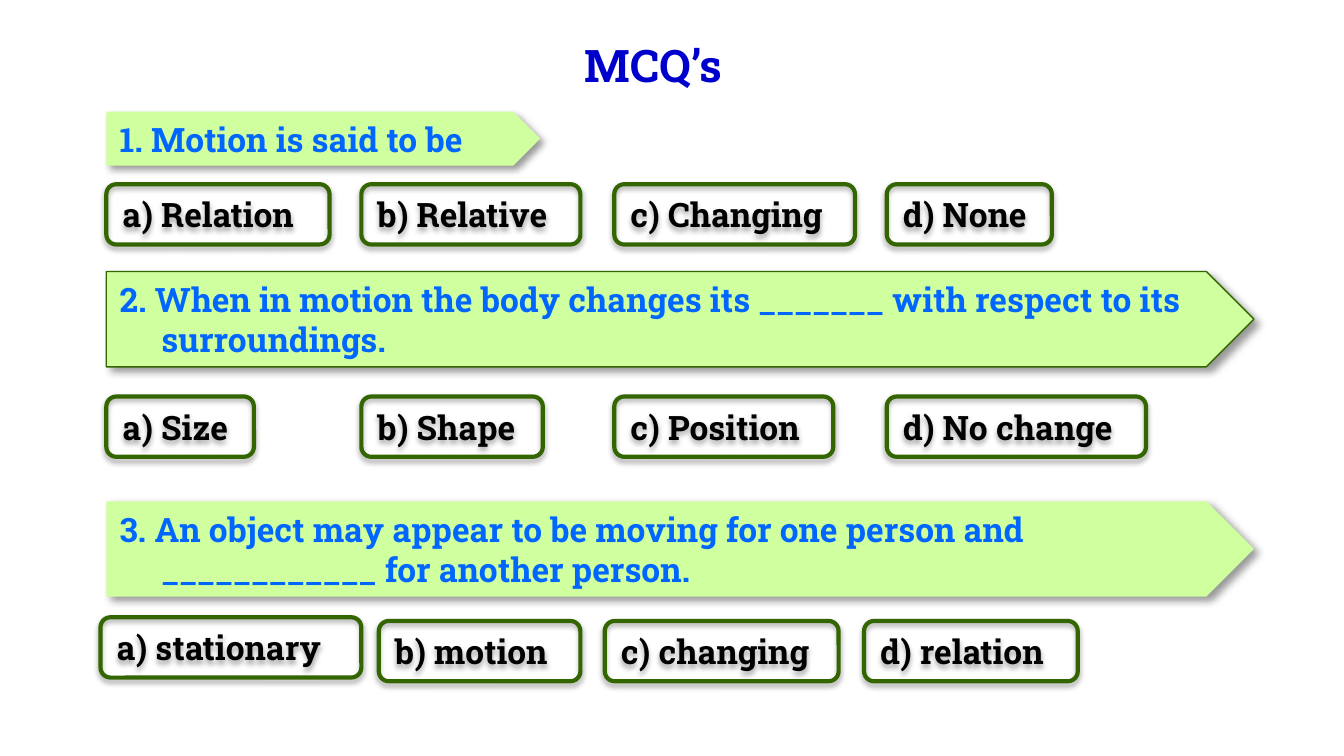
"""Build a quiz slide with three multiple-choice questions."""
from lxml import etree
from pptx import Presentation
from pptx import util as u
from pptx.dml.color import RGBColor
from pptx.enum import shapes, text
from pptx.oxml import ns

FONT = "Roboto Slab"
TITLE_BLUE, BLUE, BLACK = "0000CC", "0066FF", "000000"
LIME, GREEN = "CFFF9F", "336600"
LEFT, OPTION_HEIGHT, INDENT = 2.01, 1.14, 0.79
COLUMNS = (LEFT, 6.83, 11.61, 16.76)
QUESTION_SHADOW = (40, 4, 3, 45)
OPTION_SHADOW = (35, 3.1, 1.8, 90)

TITLE = "MCQ’s"
QUESTIONS = [
    {"text": "1. Motion is said to be",
     "box": (2.11, 8.2, 1.02), "outlined": False,
     "tops": (3.48,) * 4, "lefts": COLUMNS,
     "options": [("a) Relation", 4.22), ("b) Relative", 4.14),
                 ("c) Changing", 4.55), ("d) None", 3.12)]},
    {"text": "2. When in motion the body changes its _______ with respect to its surroundings.",
     "box": (5.13, 21.69, 1.8), "outlined": True,
     "tops": (7.49,) * 4, "lefts": COLUMNS,
     "options": [("a) Size", 2.79), ("b) Shape", 3.43),
                 ("c) Position", 4.14), ("d) No change", 4.9)]},
    {"text": "3. An object may appear to be moving for one person and ____________ for another person.",
     "box": (9.47, 21.69, 1.8), "outlined": False,
     "tops": (11.66, 11.73, 11.73, 11.73), "lefts": (1.9, 7.16, 11.43, 16.33),
     "options": [("a) stationary", 4.93), ("b) motion", 3.81),
                 ("c) changing", 4.42), ("d) relation", 4.04)]},
]


def paint(color_format, value):
    color_format.rgb = RGBColor.from_string(value)


def write(shape, words, size, color):
    frame = shape.text_frame
    frame.word_wrap = True
    frame.auto_size = text.MSO_AUTO_SIZE.NONE
    frame.vertical_anchor = text.MSO_ANCHOR.MIDDLE
    para = frame.paragraphs[0]
    para.alignment = text.PP_ALIGN.LEFT
    span = para.add_run()
    span.text = words
    span.font.name, span.font.size, span.font.bold = FONT, u.Pt(size), True
    paint(span.font.color, color)
    return para


def cast_shadow(shape, opacity, blur, distance, angle):
    shape.shadow.inherit = False
    effects = shape._element.spPr.find(ns.qn("a:effectLst"))
    shadow = etree.SubElement(
        effects, ns.qn("a:outerShdw"), blurRad=str(u.Pt(blur)),
        dist=str(u.Pt(distance)), dir=str(angle * 60000), algn="tl", rotWithShape="0")
    color = etree.SubElement(shadow, ns.qn("a:srgbClr"), val=BLACK)
    etree.SubElement(color, ns.qn("a:alpha"), val=str(opacity * 1000))


def add_box(page, kind, place, fill, line_width, shadow):
    box = page.shapes.add_shape(kind, *map(u.Cm, place))
    if fill:
        box.fill.solid()
        paint(box.fill.fore_color, fill)
    else:
        box.fill.background()
    if line_width:
        paint(box.line.color, GREEN)
        box.line.width = u.Pt(line_width)
    else:
        box.line.fill.background()
    cast_shadow(box, *shadow)
    return box


def add_question(page, question):
    top, width, height = question["box"]
    banner = add_box(page, shapes.MSO_SHAPE.PENTAGON, (LEFT, top, width, height),
                     LIME, 0.75 if question["outlined"] else 0, QUESTION_SHADOW)
    para = write(banner, question["text"], 18, BLUE)
    properties = para._p.get_or_add_pPr()
    properties.set("marL", str(u.Cm(INDENT)))
    properties.set("indent", str(-u.Cm(INDENT)))
    for left, row, (words, room) in zip(question["lefts"], question["tops"], question["options"]):
        option = add_box(page, shapes.MSO_SHAPE.ROUNDED_RECTANGLE,
                         (left, row, room, OPTION_HEIGHT), None, 2.25, OPTION_SHADOW)
        write(option, words, 18, BLACK)


def main():
    deck = Presentation()
    deck.slide_width, deck.slide_height = u.Cm(25.4), u.Cm(14.28)
    page = deck.slides.add_slide(deck.slide_layouts[5])
    title = page.shapes.title
    title.left, title.top, title.width, title.height = map(u.Cm, (10.8, 0.58, 3.35, 1.27))
    write(title, TITLE, 24, TITLE_BLUE)
    for question in QUESTIONS:
        add_question(page, question)
    deck.save("out.pptx")


if __name__ == "__main__":
    main()
